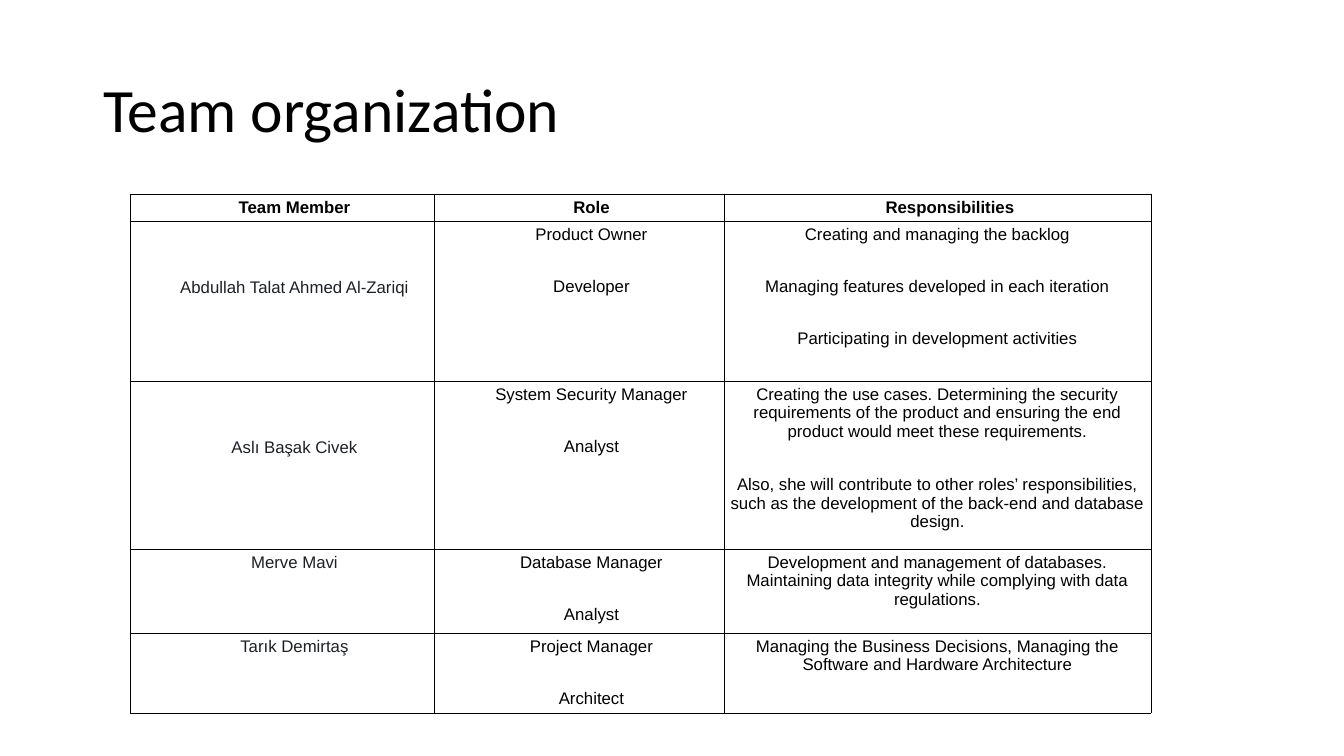
from lxml import etree
from pptx import Presentation
from pptx.dml.color import RGBColor
from pptx.enum.text import MSO_ANCHOR, MSO_AUTO_SIZE, PP_ALIGN
from pptx.oxml.ns import qn
from pptx.util import Emu, Pt

LEFT, CENTER = PP_ALIGN.LEFT, PP_ALIGN.CENTER
TOP, MIDDLE = MSO_ANCHOR.TOP, MSO_ANCHOR.MIDDLE
NO_AUTOFIT = MSO_AUTO_SIZE.NONE

# Content
TITLE = "Team organization"
HEADER = ["Team Member", "Role", "Responsibilities"]
MEMBERS = [
    ("Abdullah Talat Ahmed Al-Zariqi",
     ["Product Owner", "Developer"],
     ["Creating and managing the backlog",
      "Managing features developed in each iteration",
      "Participating in development activities"]),
    ("Aslı Başak Civek",
     ["System Security Manager", "Analyst"],
     ["Creating the use cases. Determining the security requirements of the "
      "product and ensuring the end product would meet these requirements.",
      "Also, she will contribute to other roles’ responsibilities, such as "
      "the development of the back-end and database design."]),
    ("Merve Mavi",
     ["Database Manager", "Analyst"],
     ["Development and management of databases.\nMaintaining data integrity "
      "while complying with data regulations."]),
    ("Tarık Demirtaş",
     ["Project Manager", "Architect"],
     ["Managing the Business Decisions, Managing the Software and Hardware "
      "Architecture"]),
]
COLORS = {"text": "000000", "member": "1D2125", "border": "000000"}

# Layout in pixels
TITLE_BOX = (93, 40, 1159, 146)
TABLE_LEFT, TABLE_TOP = 130, 194
COL_WIDTHS = [304, 290, 427]
ROW_HEIGHTS = [27, 160, 168, 84, 80]
MARGIN_X, MARGIN_Y, INDENT = 6, 4, 25
SECOND_LINE = 53          # drop from the first paragraph to the second
LOWERED_ROWS = (1, 2)     # member names level with the second role


def px(n):
    return Emu(round(n * 914400 / 100.8))


def add_run(p, text, size, font, color, bold=False):
    r = p.add_run()
    r.text = text
    r.font.size, r.font.name, r.font.bold = Pt(size), font, bold
    r.font.color.rgb = RGBColor.from_string(COLORS[color])


def set_borders(cell):
    tc_pr = cell._tc.get_or_add_tcPr()
    for i, side in enumerate(("lnL", "lnR", "lnT", "lnB")):
        ln = etree.Element(qn("a:" + side), w=str(Pt(0.6)))
        fill = etree.SubElement(ln, qn("a:solidFill"))
        etree.SubElement(fill, qn("a:srgbClr"), val=COLORS["border"])
        tc_pr.insert(i, ln)


def fill_cell(cell, paragraphs, color, bold, indented, drop):
    cell.fill.background()
    set_borders(cell)
    cell.vertical_anchor = TOP
    cell.margin_left = cell.margin_right = px(MARGIN_X)
    cell.margin_top, cell.margin_bottom = px(MARGIN_Y + drop), px(MARGIN_Y)
    tf = cell.text_frame
    for i, text in enumerate(paragraphs):
        p = tf.add_paragraph() if i else tf.paragraphs[0]
        p.alignment = CENTER
        p.space_before = p.space_after = Pt(12)
        if indented:
            p_pr = p._p.get_or_add_pPr()
            p_pr.set("marL", str(px(INDENT)))
            p_pr.set("indent", "0")
        for j, line in enumerate(text.split("\n")):
            if j:
                p.add_line_break()
            add_run(p, line, 12, "Arial", color, bold)


prs = Presentation()
prs.slide_width, prs.slide_height = px(1344), px(756)
s = prs.slides.add_slide(prs.slide_layouts[5])

# Title
title = s.shapes.title
title.left, title.top, title.width, title.height = map(px, TITLE_BOX)
tf = title.text_frame
tf.vertical_anchor, tf.auto_size, tf.word_wrap = MIDDLE, NO_AUTOFIT, True
p = tf.paragraphs[0]
p.alignment, p.line_spacing = LEFT, 0.9
add_run(p, TITLE, 44, "Calibri", "text")

# Team table
rows = [[[h] for h in HEADER]]
rows += [[[name], roles, duties] for name, roles, duties in MEMBERS]
table = s.shapes.add_table(
    len(rows), len(HEADER), px(TABLE_LEFT), px(TABLE_TOP),
    px(sum(COL_WIDTHS)), px(sum(ROW_HEIGHTS))).table
table.first_row = table.horz_banding = False
for col, width in zip(table.columns, COL_WIDTHS):
    col.width = px(width)
for r, (row, height) in enumerate(zip(rows, ROW_HEIGHTS)):
    table.rows[r].height = px(height)
    for c, paragraphs in enumerate(row):
        is_header, is_member = r == 0, r > 0 and c == 0
        fill_cell(table.cell(r, c), paragraphs,
                  color="member" if is_member else "text",
                  bold=is_header,
                  indented=is_header or c < 2,
                  drop=SECOND_LINE if is_member and r in LOWERED_ROWS else 0)

prs.save("out.pptx")
